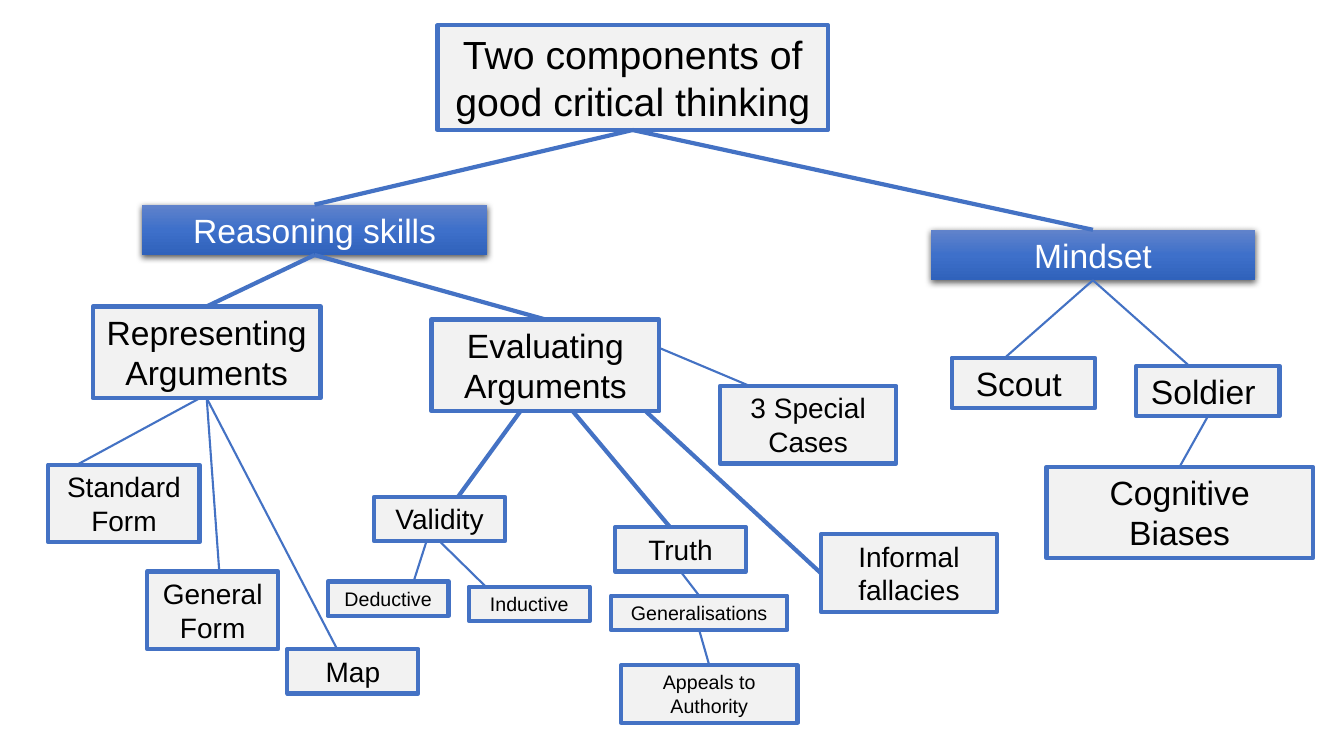
from copy import deepcopy
from pptx import Presentation
from pptx.dml.color import RGBColor
from pptx.enum.shapes import MSO_CONNECTOR as Connector, MSO_SHAPE as Shape
from pptx.enum.text import MSO_ANCHOR as Anchor, MSO_AUTO_SIZE as AutoSize, PP_ALIGN as Align
from pptx.oxml.ns import qn
from pptx.oxml.xmlchemy import OxmlElement
from pptx.util import Inches, Pt

COLUMNS, ROWS = 1333, 750
BLUE, GREY, BLACK, WHITE = "4472C4", "F2F2F2", "000000", "FFFFFF"
BANNER_STOPS = ((0, "6183CB"), (0.5, "3E70CA"), (1, "3062BB"))
HEIGHTS = {(14, 1): 34, (14, 2): 57, (20, 1): 44, (20, 2): 77,
           (24, 1): 50, (24, 2): 91, (28, 2): 104}
TOP, LEFT, BOTTOM, RIGHT = range(4)
THICK, THIN = 3, 1.5

BOXES = {
    "root": ("Two components of good critical thinking", 434, 25, 387, 28, 2),
    "reasoning": ("Reasoning skills", 141, 203, 342, 24, 1),
    "mindset": ("Mindset", 923, 228, 322, 24, 1),
    "representing": ("Representing Arguments", 92, 304, 226, 24, 2),
    "evaluating": ("Evaluating Arguments", 428, 317, 226, 24, 2),
    "scout": ("Scout ", 944, 355, 142, 24, 1),
    "soldier": ("Soldier ", 1127, 363, 142, 24, 1),
    "biases": ("Cognitive Biases", 1038, 463, 264, 24, 2),
    "standard": ("Standard Form", 48, 461, 150, 20, 2),
    "general": ("General Form", 146, 567, 130, 20, 2),
    "map": ("Map", 285, 644, 130, 20, 1),
    "validity": ("Validity", 371, 493, 130, 20, 1),
    "truth": ("Truth", 610, 523, 130, 20, 1),
    "special": ("3 Special Cases", 714, 383, 175, 20, 2),
    "informal": ("Informal fallacies", 814, 530, 175, 20, 2),
    "deductive": ("Deductive", 325, 577, 120, 14, 1),
    "inductive": ("Inductive", 465, 582, 120, 14, 1),
    "generalisations": ("Generalisations", 606, 591, 175, 14, 1),
    "authority": ("Appeals to Authority", 616, 660, 175, 14, 2),
}
BANNERS = ("reasoning", "mindset")

BRANCHES = (
    ("root", BOTTOM, 0.5, "reasoning", TOP, 0.5, THICK),
    ("root", BOTTOM, 0.5, "mindset", TOP, 0.5, THICK),
    ("reasoning", BOTTOM, 0.5, "representing", TOP, 0.5, THICK),
    ("reasoning", BOTTOM, 0.5, "evaluating", TOP, 0.5, THICK),
    ("evaluating", BOTTOM, 0.39, "validity", TOP, 0.64, THICK),
    ("evaluating", BOTTOM, 0.62, "truth", TOP, 0.42, THICK),
    ("evaluating", BOTTOM, 0.94, "informal", LEFT, 0.5, THICK),
    ("evaluating", RIGHT, 0.31, "special", TOP, 0.17, THIN),
    ("mindset", BOTTOM, 0.5, "scout", TOP, 0.37, THIN),
    ("mindset", BOTTOM, 0.5, "soldier", TOP, 0.37, THIN),
    ("soldier", BOTTOM, 0.5, "biases", TOP, 0.5, THIN),
    ("representing", BOTTOM, 0.47, "standard", TOP, 0.19, THIN),
    ("representing", BOTTOM, 0.5, "general", TOP, 0.55, THIN),
    ("representing", BOTTOM, 0.5, "map", TOP, 0.38, THIN),
    ("validity", BOTTOM, 0.4, "deductive", TOP, 0.71, THIN),
    ("validity", BOTTOM, 0.5, "inductive", TOP, 0.14, THIN),
    ("truth", BOTTOM, 0.5, "generalisations", TOP, 0.5, THIN),
    ("generalisations", BOTTOM, 0.5, "authority", TOP, 0.5, THIN),
)

presentation = Presentation()
presentation.slide_width = Inches(13.33)
presentation.slide_height = Inches(7.5)
slide = presentation.slides.add_slide(presentation.slide_layouts[6])
column = presentation.slide_width // COLUMNS
row = presentation.slide_height // ROWS


def color(value):
    return RGBColor.from_string(value)


def style_banner(shape):
    shape.line.fill.background()
    shape.fill.gradient()
    shape.fill.gradient_angle = 270
    stop_list = shape.element.spPr.find(qn("a:gradFill")).find(qn("a:gsLst"))
    stop_list.append(deepcopy(stop_list[0]))
    for stop, (position, value) in zip(shape.fill.gradient_stops, BANNER_STOPS):
        stop.position = position
        stop.color.rgb = color(value)
    shadow = OxmlElement("a:outerShdw")
    for name, value in (("blurRad", Pt(4.5)), ("dist", Pt(1.5)),
                        ("dir", 5400000), ("rotWithShape", 0)):
        shadow.set(name, str(int(value)))
    shade = OxmlElement("a:srgbClr")
    shade.set("val", BLACK)
    alpha = OxmlElement("a:alpha")
    alpha.set("val", "63000")
    shade.append(alpha)
    shadow.append(shade)
    shape.element.spPr.find(qn("a:effectLst")).append(shadow)


def style_plain(shape):
    shape.fill.solid()
    shape.fill.fore_color.rgb = color(GREY)
    shape.line.color.rgb = color(BLUE)
    shape.line.width = Pt(THICK)


def add_box(name, text, left, top, width, size, lines):
    shape = slide.shapes.add_shape(Shape.RECTANGLE, left * column, top * row,
                                   width * column, HEIGHTS[size, lines] * row)
    shape.shadow.inherit = False
    banner = name in BANNERS
    (style_banner if banner else style_plain)(shape)
    frame = shape.text_frame
    frame.text = text
    frame.word_wrap = True
    frame.auto_size = AutoSize.SHAPE_TO_FIT_TEXT
    frame.vertical_anchor = Anchor.TOP
    paragraph = frame.paragraphs[0]
    paragraph.alignment = Align.CENTER
    font = paragraph.runs[0].font
    font.name, font.size = "Arial", Pt(size)
    font.color.rgb = color(WHITE if banner else BLACK)
    return shape


def side_point(shape, side, share):
    if side in (TOP, BOTTOM):
        x = shape.left + int(shape.width * share)
        return x, shape.top + (shape.height if side == BOTTOM else 0)
    y = shape.top + int(shape.height * share)
    return shape.left + (shape.width if side == RIGHT else 0), y


def add_branch(parent, parent_side, parent_share, child, child_side, child_share, weight):
    line = slide.shapes.add_connector(
        Connector.STRAIGHT,
        *side_point(parent, parent_side, parent_share),
        *side_point(child, child_side, child_share))
    if parent_share == 0.5:
        line.begin_connect(parent, parent_side)
    if child_share == 0.5:
        line.end_connect(child, child_side)
    line.line.color.rgb = color(BLUE)
    line.line.width = Pt(weight)
    line.element.spPr.append(OxmlElement("a:effectLst"))


shapes = {name: add_box(name, *box) for name, box in BOXES.items()}
for parent, parent_side, parent_share, child, child_side, child_share, weight in BRANCHES:
    add_branch(shapes[parent], parent_side, parent_share,
               shapes[child], child_side, child_share, weight)

presentation.save("out.pptx")
